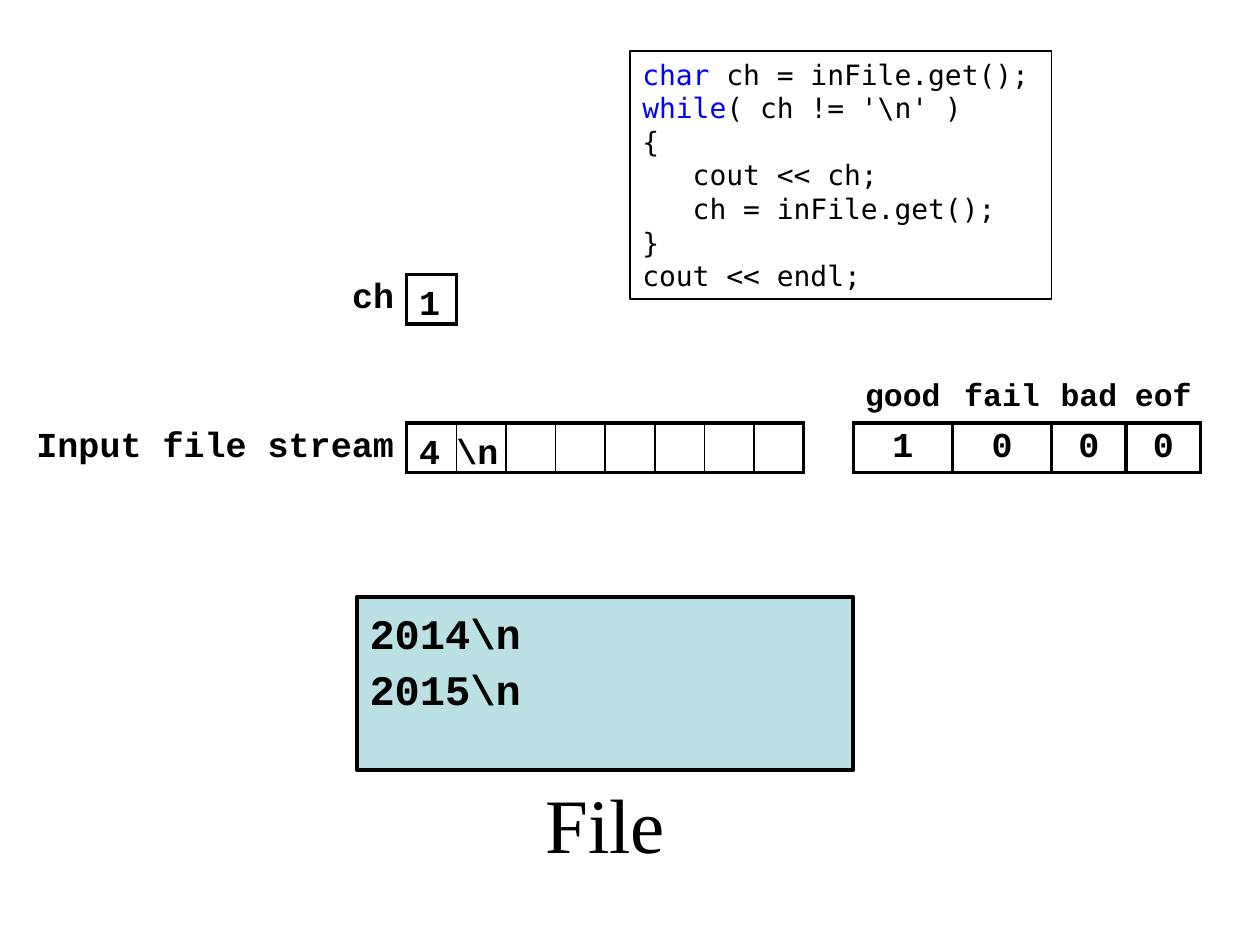
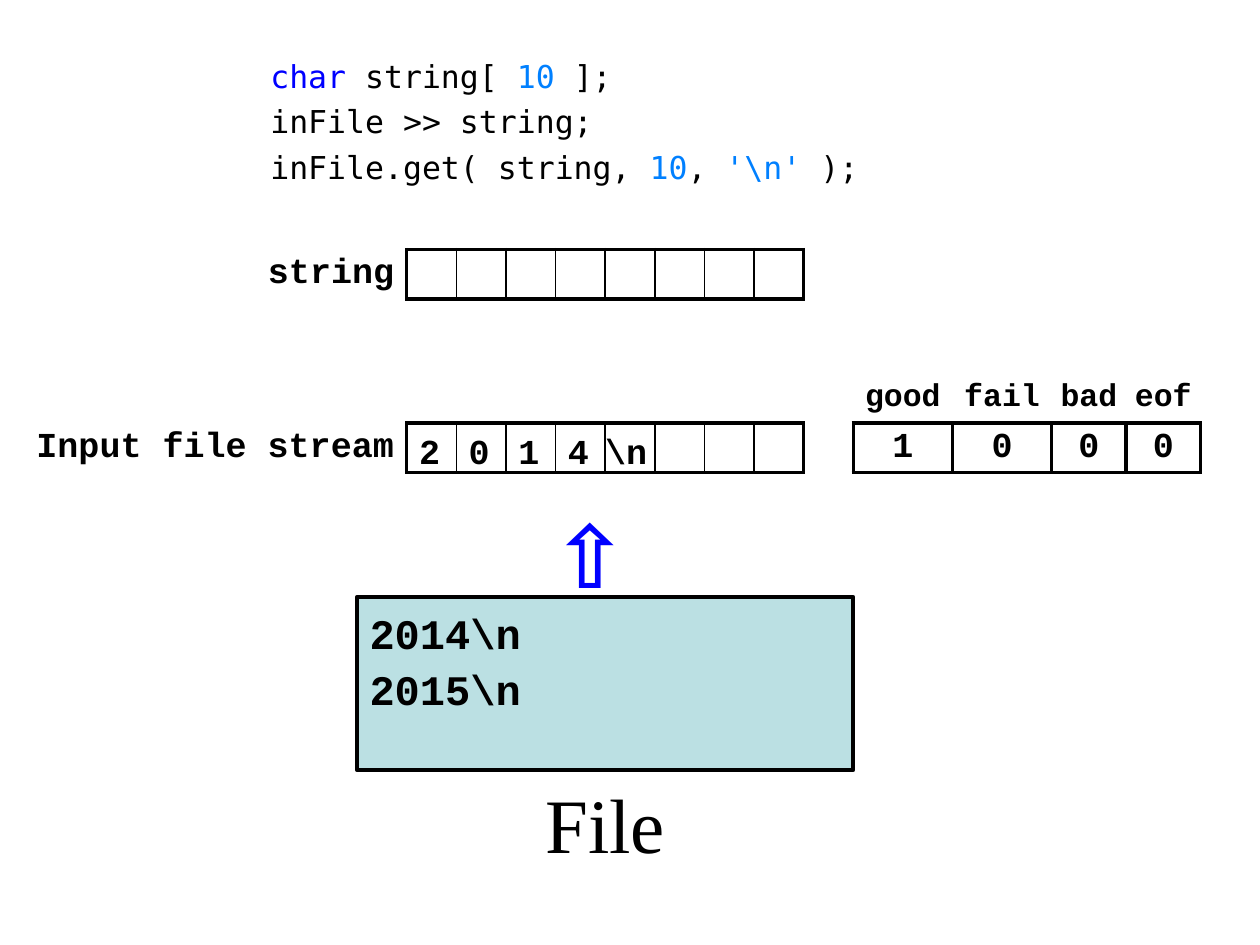
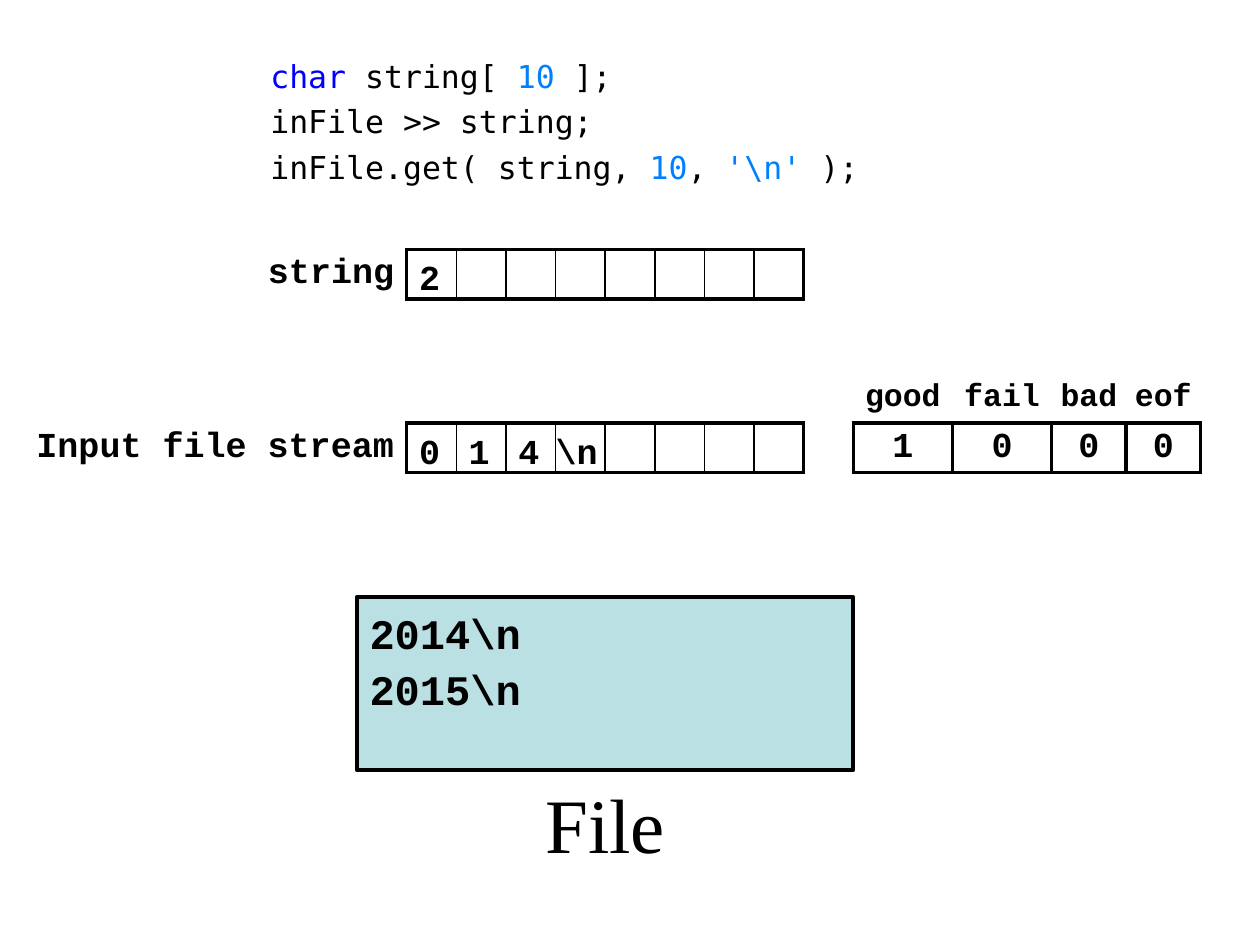
from lxml.etree import SubElement
from pptx import Presentation
from pptx.dml.color import RGBColor
from pptx.enum.shapes import MSO_SHAPE
from pptx.enum.text import MSO_ANCHOR, PP_ALIGN
from pptx.oxml.ns import qn
from pptx.util import Cm, Inches, Pt

UNIT, LEFT, TOP = Cm(1), Cm(0.2), Cm(0.03)
BLACK, KEYWORD, LITERAL, PAPER = "000000", "0000FF", "0080FF", "BBE0E3"
CODE, MONO, SERIF = "DejaVu Sans Mono", "Courier New", "Times New Roman"
THICK, THIN = 2.25, 1
STREAM_COL, STREAM_ROW, SLOTS = 8, 8.5, 8

hex_color = RGBColor.from_string


def add_text(slide, col, row, cols, rows, lines, face, size, bold=False, color=BLACK,
             margins=(0.1, 0.05, 0.1, 0.05), align=PP_ALIGN.LEFT, anchor=MSO_ANCHOR.TOP,
             spacing=1.0, after=0, outline=0, fill=None):
    place = [LEFT + int(col * UNIT), TOP + int(row * UNIT), int(cols * UNIT), int(rows * UNIT)]
    if outline:
        box = slide.shapes.add_shape(MSO_SHAPE.RECTANGLE, *place)
        box.shadow.inherit = False
        box.line.color.rgb = hex_color(BLACK)
        box.line.width = Pt(outline)
        if fill:
            box.fill.solid()
            box.fill.fore_color.rgb = hex_color(fill)
        else:
            box.fill.background()
    else:
        box = slide.shapes.add_textbox(*place)
    frame = box.text_frame
    frame.word_wrap = True
    frame.vertical_anchor = anchor
    frame.margin_left, frame.margin_top, frame.margin_right, frame.margin_bottom = map(Inches, margins)
    for number, line in enumerate(lines):
        paragraph = frame.add_paragraph() if number else frame.paragraphs[0]
        paragraph.alignment = align
        paragraph.line_spacing = spacing
        paragraph.space_after = Pt(after)
        paragraph.font.name, paragraph.font.size, paragraph.font.bold = face, Pt(size), bold
        paragraph.font.color.rgb = hex_color(color)
        for text, run_color in line:
            run = paragraph.add_run()
            run.text = text
            if run_color:
                run.font.color.rgb = hex_color(run_color)


def add_grid(slide, col, row, widths, kinds, texts):
    table = slide.shapes.add_table(len(kinds), len(widths), LEFT + int(col * UNIT), TOP + int(row * UNIT),
                                   int(sum(widths) * UNIT), len(kinds) * UNIT).table
    table.first_row = table.horz_banding = False
    for column, width in zip(table.columns, widths):
        column.width = int(width * UNIT)
    open_row = "." * (len(widths) + 2)
    padded = [open_row] + [f".{kind}." for kind in kinds] + [open_row]
    for r in range(len(kinds)):
        table.rows[r].height = UNIT
        for c in range(len(widths)):
            cell = table.cell(r, c)
            is_label = c == 0
            cell.margin_left = cell.margin_top = cell.margin_bottom = 0
            cell.margin_right = Inches(0.1) if is_label else 0
            cell.vertical_anchor = MSO_ANCHOR.MIDDLE
            here = padded[r + 1][c + 1]
            neighbours = {"lnL": padded[r + 1][c], "lnR": padded[r + 1][c + 2],
                          "lnT": padded[r][c + 1], "lnB": padded[r + 2][c + 1]}
            properties = cell._tc.get_or_add_tcPr()
            for side, other in neighbours.items():
                width = {"..": 0, "ss": THIN}.get(here + other, THICK)
                border = SubElement(properties, qn(f"a:{side}"), w=str(Pt(width)))
                paint = SubElement(border, qn("a:solidFill" if width else "a:noFill"))
                if width:
                    SubElement(paint, qn("a:srgbClr"), val=BLACK)
            cell.fill.background()
            paragraph = cell.text_frame.paragraphs[0]
            paragraph.alignment = PP_ALIGN.RIGHT if is_label else PP_ALIGN.CENTER
            paragraph.font.name, paragraph.font.bold = MONO, True
            paragraph.font.size = Pt(20 if here == "f" or is_label else 18)
            paragraph.font.color.rgb = hex_color(BLACK)
            if (r, c) in texts:
                paragraph.add_run().text = texts[r, c]


loop_code = [
    [("char ", KEYWORD), ("ch = inFile.get();", None)],
    [("while", KEYWORD), (r"( ch != '\n' )", None)],
    [("{", None)],
    [("   cout << ch;", None)],
    [("   ch = inFile.get();", None)],
    [("}", None)],
    [("cout << endl;", None)],
]
string_code = [
    [("char", KEYWORD), (" string[ ", None), ("10", LITERAL), (" ];", None)],
    [("inFile >> string;", None)],
    [("inFile.get( string, ", None), ("10", LITERAL), (", ", None), (r"'\n'", LITERAL), (" );", None)],
]
char_step = dict(variable="ch", label_cols=1.5, slots=1, row=5.5)
string_step = dict(variable="string", label_cols=3, slots=SLOTS, row=5)
steps = [
    dict(char_step, held=["1"], stream=["4", r"\n"], loading=False),
    dict(string_step, held=[], stream=["2", "0", "1", "4", r"\n"], loading=True),
    dict(string_step, held=["2"], stream=["0", "1", "4", r"\n"], loading=False),
]

flags = {"good": "1", "fail": "0", "bad": "0", "eof": "0"}
stream_widths = [7.5] + [1] * (SLOTS + 1) + [2, 2, 1.5, 1.5]
stream_kinds = ["." * len(stream_widths), "." + "s" * SLOTS + "." + "f" * len(flags)]
stream_texts = {(1, 0): "Input file stream"}
for position, (flag, state) in enumerate(flags.items(), SLOTS + 2):
    stream_texts[0, position] = flag
    stream_texts[1, position] = state

deck = Presentation()
deck.slide_width, deck.slide_height = Inches(10), Inches(7.5)

for step in steps:
    slide = deck.slides.add_slide(deck.slide_layouts[6])
    add_text(slide, 10.5, 15.5, 3, 2.5, [[("File", None)]], SERIF, 44, align=PP_ALIGN.CENTER)

    code_margins = (0.1, 0.05, 0.08, 0.05)
    if step["variable"] == "ch":
        add_text(slide, 12.5, 1, 8.5, 5, loop_code, CODE, 16, margins=code_margins, outline=THIN)
    else:
        add_text(slide, 5, 1, 12.5, 3, string_code, CODE, 18, margins=code_margins, after=4.2)

    add_grid(slide, 0.5, STREAM_ROW - 1, stream_widths, stream_kinds, stream_texts)
    add_grid(slide, STREAM_COL - step["label_cols"], step["row"],
             [step["label_cols"]] + [1] * step["slots"],
             ["." + "s" * step["slots"]], {(0, 0): step["variable"]})

    add_text(slide, 7, 12, 10, 3.5, [[(r"2014\n", None)], [(r"2015\n", None)]], MONO, 24, bold=True,
             spacing=1.1, outline=THICK, fill=PAPER)
    if step["loading"]:
        add_text(slide, 11, 9.5, 2, 2.5, [[("⇧", None)]], MONO, 66, bold=True, color=KEYWORD,
                 margins=(0, 0, 0, 0))

    for row, symbols in ((step["row"], step["held"]), (STREAM_ROW, step["stream"])):
        for slot, symbol in enumerate(symbols):
            side = 0.1 if len(symbol) == 1 else 0
            add_text(slide, STREAM_COL + slot, row, 1, 1, [[(symbol, None)]], MONO, 20, bold=True,
                     margins=(side, 0.05, side, 0.05), anchor=MSO_ANCHOR.MIDDLE, spacing=1.1)

deck.save("out.pptx")
